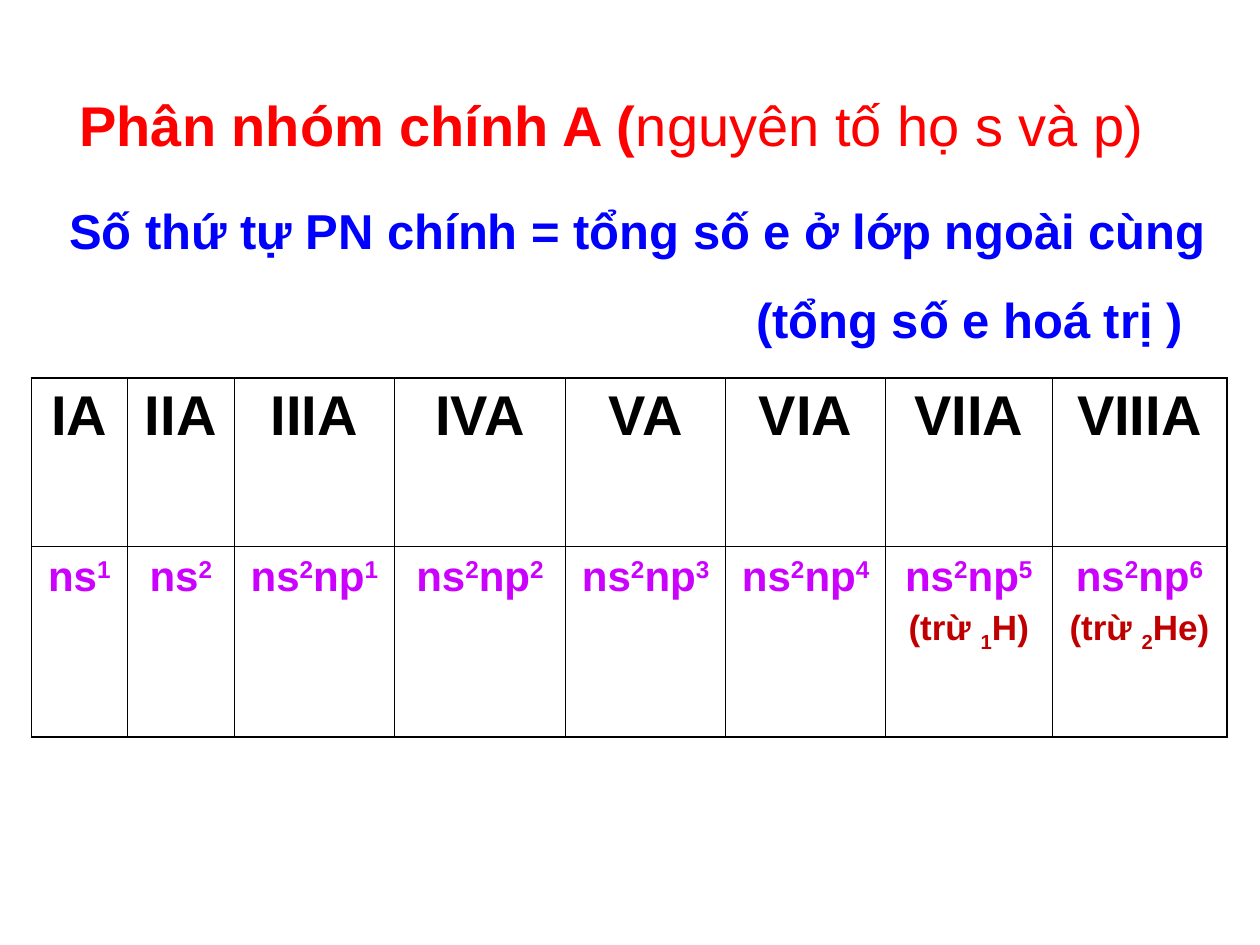
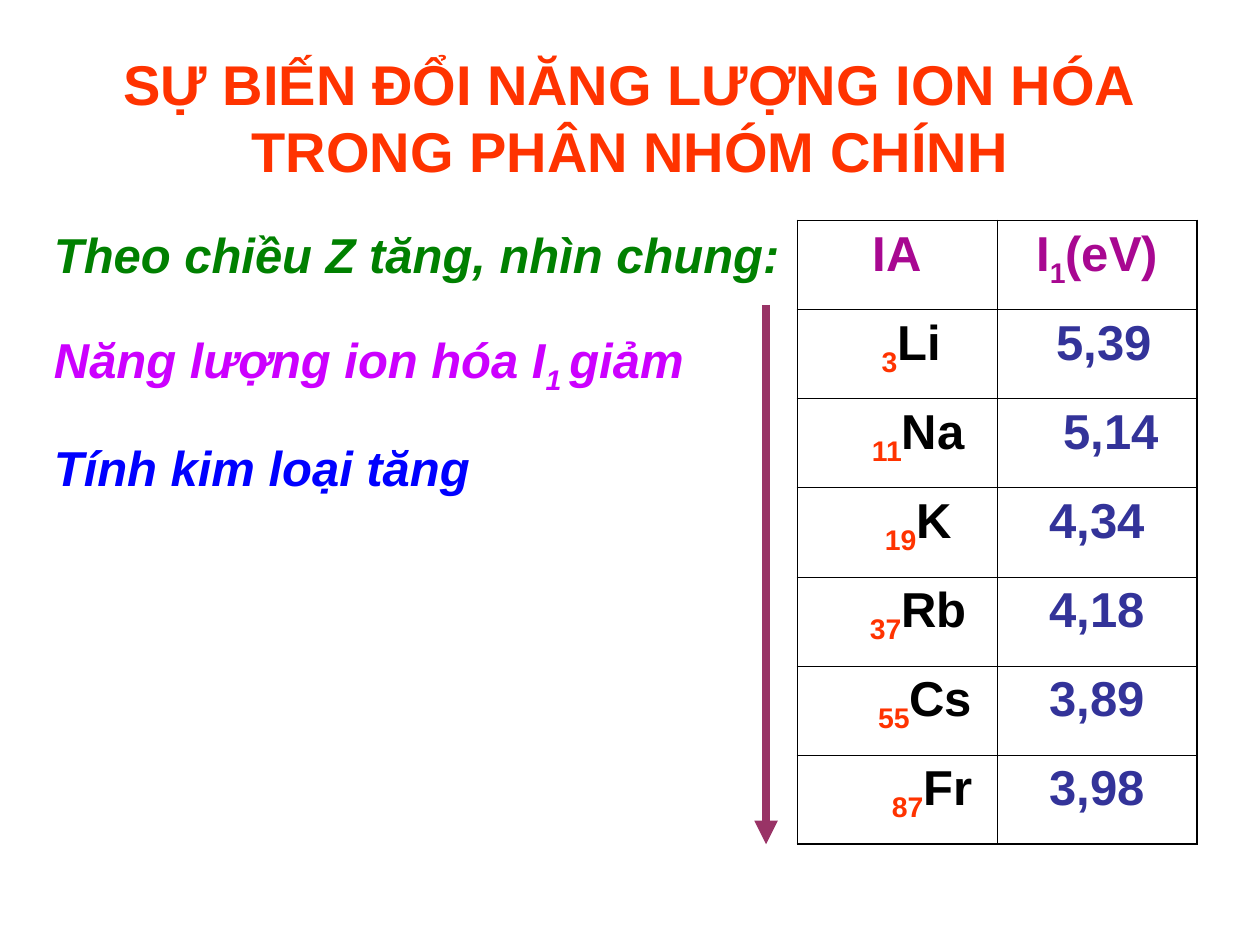
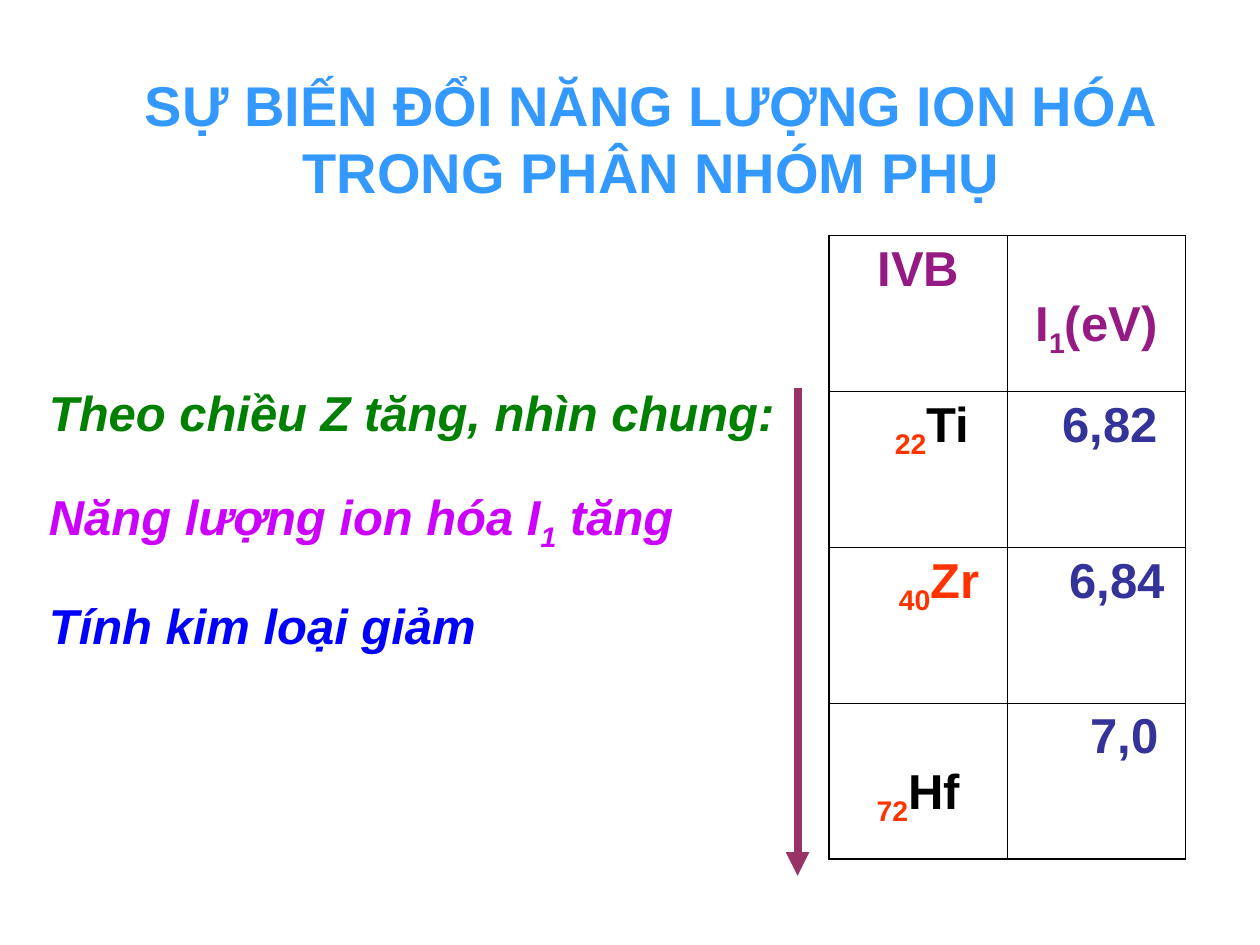
from dataclasses import dataclass

from lxml import etree
from pptx import Presentation
from pptx.dml.color import RGBColor
from pptx.enum.shapes import MSO_CONNECTOR
from pptx.enum.text import MSO_ANCHOR, MSO_AUTO_SIZE, PP_ALIGN
from pptx.oxml.ns import qn
from pptx.util import Inches, Pt


@dataclass(frozen=True)
class Theme:
    font: str = "Arial"
    black: str = "000000"
    red: str = "FF0000"
    orange: str = "FF3300"
    dark_red: str = "C00000"
    blue: str = "0000FF"
    sky: str = "3399FF"
    navy: str = "333399"
    green: str = "008000"
    violet: str = "CC00FF"
    purple: str = "A80891"
    plum: str = "961A84"
    arrow: str = "993366"
    title: int = 32
    body: int = 28
    config: int = 24
    note: int = 20
    arrow_width: float = 4.5
    outer_border: float = 1.08
    inner_border: float = 0.45
    space: float = 0.11


T = Theme()
SUB, SUP = -25, 30


@dataclass(frozen=True)
class Run:
    text: str
    color: str = T.black
    size: int = T.body
    base: int = 0
    bold: bool = True
    italic: bool = False


def add_runs(p, runs):
    for run in runs:
        for i, line in enumerate(run.text.split("\n")):
            if i:
                p.add_line_break()
            r = p.add_run()
            r.text = line
            font = r.font
            font.name, font.size = T.font, Pt(run.size)
            font.bold, font.italic = run.bold, run.italic
            font.color.rgb = RGBColor.from_string(run.color)
            if run.base:
                r._r.get_or_add_rPr().set("baseline", str(run.base * 1000))


def indent(p, left, first=0):
    pPr = p._p.get_or_add_pPr()
    pPr.set("marL", str(Inches(left)))
    pPr.set("indent", str(Inches(first)))


def fill_paragraphs(tf, paragraphs, before=0):
    """Write one list of runs per paragraph and return the paragraphs."""
    for i, runs in enumerate(paragraphs):
        p = tf.add_paragraph() if i else tf.paragraphs[0]
        if i and before:
            p.space_before = Pt(before)
        add_runs(p, runs)
    return tf.paragraphs


def set_title(slide, box, paragraphs, before=0):
    sp = slide.shapes.title
    sp.left, sp.top, sp.width, sp.height = map(Inches, box)
    tf = sp.text_frame
    tf.word_wrap = True
    tf.auto_size = MSO_AUTO_SIZE.NONE
    tf.vertical_anchor = MSO_ANCHOR.MIDDLE
    for p in fill_paragraphs(tf, paragraphs, before):
        p.alignment = PP_ALIGN.CENTER
    return tf


def add_trend_text(slide, left, top, energy, metal):
    sp = slide.shapes.add_textbox(Inches(left), Inches(top), Inches(6.17), Inches(4.95))
    tf = sp.text_frame
    tf.word_wrap = True
    lines = [
        [Run("Theo chiều Z tăng, nhìn chung:", T.green, italic=True)],
        [Run(text, T.violet, base=base, italic=True) for text, base in energy],
        [Run(metal, T.blue, italic=True)],
    ]
    for p in fill_paragraphs(tf, lines, before=7):
        indent(p, 0.38, -0.38)
        p.line_spacing = 1.5


def add_down_arrow(slide, x, top, bottom):
    line = slide.shapes.add_connector(
        MSO_CONNECTOR.STRAIGHT, Inches(x), Inches(top), Inches(x), Inches(bottom))
    line.line.color.rgb = RGBColor.from_string(T.arrow)
    line.line.width = Pt(T.arrow_width)
    etree.SubElement(line.line._get_or_add_ln(), qn("a:tailEnd"), type="triangle")
    etree.SubElement(line._element.spPr, qn("a:effectLst"))


def set_borders(cell, outer_sides):
    tcPr = cell._tc.get_or_add_tcPr()
    for i, side in enumerate("LRTB"):
        width = T.outer_border if side in outer_sides else T.inner_border
        ln = etree.Element(qn("a:ln" + side), w=str(Pt(width)))
        fill = etree.SubElement(ln, qn("a:solidFill"))
        etree.SubElement(fill, qn("a:srgbClr"), val=T.black)
        tcPr.insert(i, ln)


def add_grid(slide, left, top, widths, heights, rows):
    """Draw a bordered table; each cell is a list of paragraphs of runs."""
    table = slide.shapes.add_table(
        len(heights), len(widths), Inches(left), Inches(top),
        Inches(sum(widths)), Inches(sum(heights))).table
    table.first_row = table.horz_banding = False
    for column, width in zip(table.columns, widths):
        column.width = Inches(width)
    for row, height in zip(table.rows, heights):
        row.height = Inches(height)
    for i, row in enumerate(rows):
        for j, paragraphs in enumerate(row):
            cell = table.cell(i, j)
            cell.fill.background()
            edges = {"L": j == 0, "R": j == len(widths) - 1,
                     "T": i == 0, "B": i == len(heights) - 1}
            set_borders(cell, [side for side, outer in edges.items() if outer])
            for p in fill_paragraphs(cell.text_frame, paragraphs, before=5):
                p.alignment = PP_ALIGN.CENTER
    return table


def add_energy_table(slide, left, top, width, group, head_color, elements):
    """elements: number, symbol, symbol colour, energy, and the shift of each cell."""
    rows = [[[[Run(group, head_color)]],
             [[Run("I", head_color), Run("1", head_color, base=SUB), Run("(eV)", head_color)]]]]
    for number, symbol, color, energy, *_ in elements:
        rows.append([[[Run(number, T.orange, base=SUB), Run(symbol, color)]],
                     [[Run(energy, T.navy)]]])
    table = add_grid(slide, left, top, [width / 2] * 2, [4.95 / len(rows)] * len(rows), rows)
    for i, (*_, symbol_shift, energy_shift) in enumerate(elements, 1):
        for j, shift in enumerate((symbol_shift, energy_shift)):
            indent(table.cell(i, j).text_frame.paragraphs[0], shift * T.space)
    return table


def configuration(s, p=None, exception=None):
    """Outer shell such as ns2np5, with an optional excepted element below."""
    parts = [("ns", 0), (s, SUP)] + ([("np", 0), (p, SUP)] if p else [])
    paragraphs = [[Run(text, T.violet, T.config, base) for text, base in parts]]
    if exception:
        number, symbol = exception
        note = [("(trừ ", 0), (number, SUB), (symbol + ")", 0)]
        paragraphs.append([Run(text, T.dark_red, T.note, base) for text, base in note])
    return paragraphs


def build_main_groups(slide):
    tf = set_title(slide, (0.2, 0.25, 9.83, 2.7), [
        [Run("Phân nhóm chính A (", T.red, T.title),
         Run("nguyên tố họ s và p)", T.red, T.title, bold=False)],
        [Run("Số thứ tự PN chính = tổng số e ở lớp ngoài cùng", T.blue)],
        [Run("(tổng số e hoá trị )", T.blue)],
    ])
    tf.vertical_anchor = MSO_ANCHOR.TOP
    tf.margin_top = Inches(0.2)
    for p, left in zip(tf.paragraphs, (0.33, 0.25, 5.7)):
        p.alignment = PP_ALIGN.LEFT
        p.line_spacing = 1.5
        indent(p, left)
    tf.paragraphs[1].space_before = Pt(8)

    groups = ["IA", "IIA", "IIIA", "IVA", "VA", "VIA", "VIIA", "VIIIA"]
    exceptions = {5: ("1", "H"), 6: ("2", "He")}
    shells = [configuration("1"), configuration("2")]
    shells += [configuration("2", str(n), exceptions.get(n)) for n in range(1, 7)]
    add_grid(slide, 0.25, 3, [0.76, 0.85, 1.27, 1.36, 1.27, 1.27, 1.32, 1.39], [1.34, 1.51],
             [[[[Run(group, size=T.title)]] for group in groups], shells])


def build_main_trend(slide):
    set_title(slide, (0.5, 0.3, 9, 1.25), [
        [Run("SỰ BIẾN ĐỔI NĂNG LƯỢNG ION HÓA\nTRONG PHÂN NHÓM CHÍNH", T.orange, T.title)]])
    add_trend_text(slide, 0.33, 1.5,
                   [("Năng lượng ion hóa I", 0), ("1 ", SUB), ("giảm", 0)],
                   "Tính kim loại tăng")
    add_energy_table(slide, 6.33, 1.75, 3.17, "IA", T.purple, [
        ("3", "Li", T.black, "5,39", 2, 1),
        ("11", "Na", T.black, "5,14", 3, 2),
        ("19", "K", T.black, "4,34", 3, 0),
        ("37", "Rb", T.black, "4,18", 3, 0),
        ("55", "Cs", T.black, "3,89", 4, 0),
        ("87", "Fr", T.black, "3,98", 5, 0),
    ])
    add_down_arrow(slide, 6.08, 2.42, 6.7)


def build_sub_trend(slide):
    set_title(slide, (0.67, 0.47, 9, 1.25), [
        [Run("SỰ BIẾN ĐỔI NĂNG LƯỢNG ION HÓA\nTRONG PHÂN NHÓM PHỤ", T.sky, T.title)]])
    add_trend_text(slide, 0.29, 2.75,
                   [("Năng lượng ion hóa I", 0), ("1", SUB), (" tăng", 0)],
                   "Tính kim loại giảm")
    table = add_energy_table(slide, 6.58, 1.87, 2.83, "IVB", T.plum, [
        ("22", "Ti", T.black, "6,82", 2, 2),
        ("40", "Zr", T.orange, "6,84", 3, 3),
        ("72", "Hf", T.black, "7,0", 0, 4),
    ])
    for lowered in (table.cell(0, 1), table.cell(3, 0)):
        lowered.margin_top = Inches(0.49)
    add_down_arrow(slide, 6.33, 3.08, 6.95)


def main():
    prs = Presentation()
    prs.slide_width, prs.slide_height = Inches(10), Inches(7.5)
    title_only = prs.slide_layouts[5]
    for build in (build_main_groups, build_main_trend, build_sub_trend):
        build(prs.slides.add_slide(title_only))
    prs.save("out.pptx")


if __name__ == "__main__":
    main()
